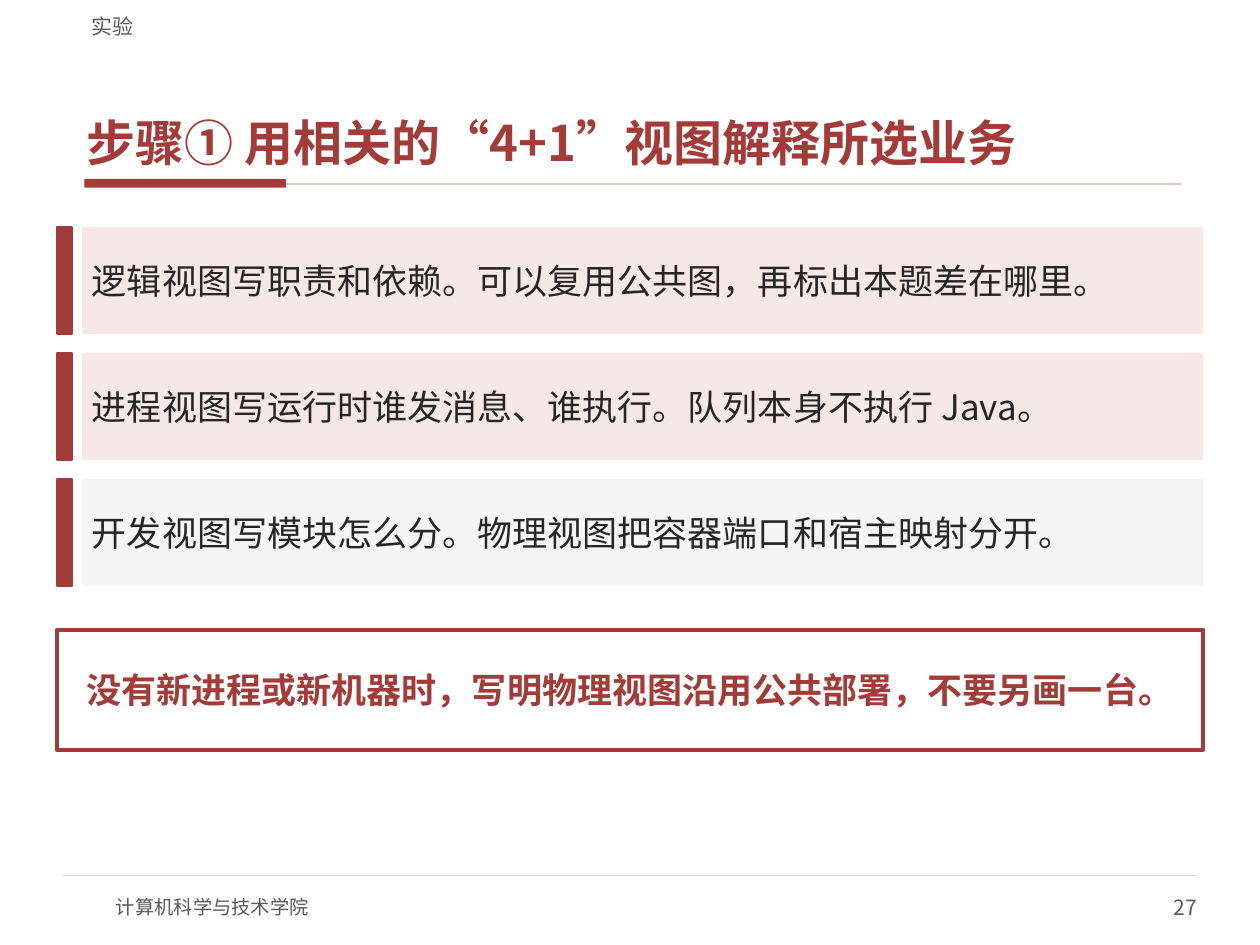
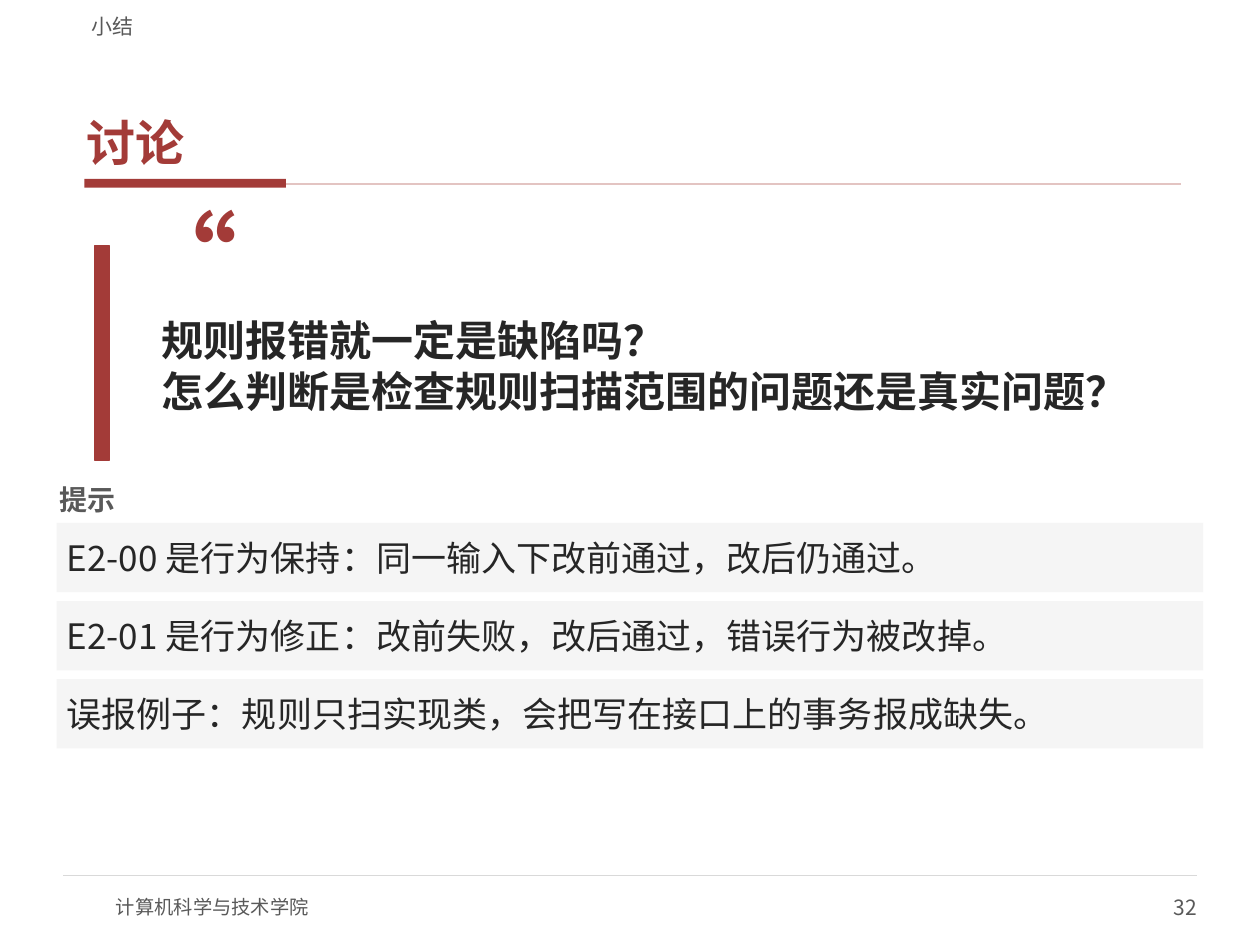
from lxml.etree import SubElement
from pptx import Presentation
from pptx.dml.color import RGBColor
from pptx.enum.lang import MSO_LANGUAGE_ID
from pptx.enum.shapes import MSO_CONNECTOR, MSO_SHAPE
from pptx.enum.text import MSO_ANCHOR, MSO_AUTO_SIZE, PP_ALIGN
from pptx.oxml.ns import qn
from pptx.util import Inches, Pt

FONT = "Noto Sans CJK SC"
RED, PALE_RED, RULE_RED = "A33B38", "F6E8E6", "E3C4C2"
INK, GREY, PALE_GREY, RULE_GREY = "262626", "595959", "F5F5F5", "D9D9D9"
WHITE = "FFFFFF"
LEFT, WIDTH = 0.45, 9.1
BAR_WIDTH = 0.12


def write(box, text, size, color, bold=False, align=PP_ALIGN.LEFT,
          anchor=MSO_ANCHOR.MIDDLE, insets=(0.08, 0.04)):
    frame = box.text_frame
    frame.word_wrap = True
    frame.auto_size = MSO_AUTO_SIZE.NONE
    frame.vertical_anchor = anchor
    frame.margin_left = frame.margin_right = Inches(insets[0])
    frame.margin_top = frame.margin_bottom = Inches(insets[1])
    para = frame.paragraphs[0]
    para.text = text
    para.alignment = align
    for span in para.runs:
        span.font.name = FONT
        span.font.size = Pt(size)
        span.font.bold = bold
        span.font.color.rgb = RGBColor.from_string(color)
        span.font.language_id = MSO_LANGUAGE_ID.SIMPLIFIED_CHINESE
        SubElement(span.font._element, qn("a:ea"), typeface=FONT)


def add_panel(page, left, top, width, height, fill, line=None, line_width=1):
    panel = page.shapes.add_shape(MSO_SHAPE.RECTANGLE, Inches(left), Inches(top),
                                  Inches(width), Inches(height))
    panel.shadow.inherit = False
    panel.fill.solid()
    panel.fill.fore_color.rgb = RGBColor.from_string(fill)
    if line:
        panel.line.color.rgb = RGBColor.from_string(line)
        panel.line.width = Pt(line_width)
    else:
        panel.line.fill.background()
    return panel


deck = Presentation()
deck.slide_width = Inches(10)
deck.slide_height = Inches(7.5)

pages = []
for section, title, number in (
    ("实验", "步骤① 用相关的“4+1”视图解释所选业务", "27"),
    ("小结", "讨论", "32"),
):
    page = deck.slides.add_slide(deck.slide_layouts[5])
    pages.append(page)

    add_panel(page, 0.67, 1.42, 1.6, 0.07, RED)
    for start, end, height, color, weight in (
        (2.27, 9.37, 1.46, RULE_RED, 1),
        (0.5, 9.5, 6.95, RULE_GREY, 0.75),
    ):
        rule = page.shapes.add_connector(MSO_CONNECTOR.STRAIGHT, Inches(start), Inches(height),
                                         Inches(end), Inches(height))
        rule.line.color.rgb = RGBColor.from_string(color)
        rule.line.width = Pt(weight)
        SubElement(rule._element.spPr, qn("a:effectLst"))

    heading = page.shapes.title
    heading.left, heading.top = Inches(0.63), Inches(0.33)
    heading.width, heading.height = Inches(8.75), Inches(1.05)
    write(heading, title, 28, RED, True, anchor=MSO_ANCHOR.BOTTOM, insets=(0.06, 0.02))
    heading.text_frame.paragraphs[0].space_after = Pt(2)

    for text, left, top, width, height, size, align, anchor, inset in (
        ("计算机科学与技术学院", 0.92, 7, 4, 0.4, 11, PP_ALIGN.LEFT, MSO_ANCHOR.MIDDLE, 0),
        (number, 7.5, 7, 2, 0.4, 12, PP_ALIGN.RIGHT, MSO_ANCHOR.MIDDLE, 0),
        (section, 0.63, 0.04, 8.75, 0.27, 12, PP_ALIGN.LEFT, MSO_ANCHOR.BOTTOM, 0.1),
    ):
        box = page.shapes.add_textbox(Inches(left), Inches(top), Inches(width), Inches(height))
        write(box, text, size, GREY, align=align, anchor=anchor, insets=(inset, 0))

steps_page, discussion_page = pages

for index, (text, fill) in enumerate((
    ("逻辑视图写职责和依赖。可以复用公共图，再标出本题差在哪里。", PALE_RED),
    ("进程视图写运行时谁发消息、谁执行。队列本身不执行 Java。", PALE_RED),
    ("开发视图写模块怎么分。物理视图把容器端口和宿主映射分开。", PALE_GREY),
)):
    top = 1.8 + index
    add_panel(steps_page, LEFT, top, BAR_WIDTH, 0.85, RED, RED)
    view = add_panel(steps_page, LEFT + 0.2, top, WIDTH - 0.2, 0.85, fill)
    write(view, text, 20, INK)

reminder = add_panel(steps_page, LEFT, 5, WIDTH, 0.95, WHITE, RED, 2.25)
write(reminder, "没有新进程或新机器时，写明物理视图沿用公共部署，不要另画一台。",
      20, RED, True, PP_ALIGN.CENTER)

add_panel(discussion_page, 0.75, 1.95, BAR_WIDTH, 1.7, RED, RED)
quote_mark = discussion_page.shapes.add_textbox(Inches(1.05), Inches(1.55), Inches(1), Inches(1))
write(quote_mark, "“", 60, RED, True, anchor=MSO_ANCHOR.TOP, insets=(0, 0))

question = discussion_page.shapes.add_textbox(Inches(1.2), Inches(2.15), Inches(8.35), Inches(1.5))
write(question, "规则报错就一定是缺陷吗？\v怎么判断是检查规则扫描范围的问题还是真实问题？", 24, INK, True)

hint_label = discussion_page.shapes.add_textbox(Inches(LEFT), Inches(3.8), Inches(3), Inches(0.32))
write(hint_label, "提示", 16, GREY, True, insets=(0.02, 0.01))

for index, text in enumerate((
    "E2-00 是行为保持：同一输入下改前通过，改后仍通过。",
    "E2-01 是行为修正：改前失败，改后通过，错误行为被改掉。",
    "误报例子：规则只扫实现类，会把写在接口上的事务报成缺失。",
)):
    hint = add_panel(discussion_page, LEFT, 4.15 + 0.62 * index, WIDTH, 0.55, PALE_GREY)
    write(hint, text, 20, INK)

deck.save("out.pptx")
